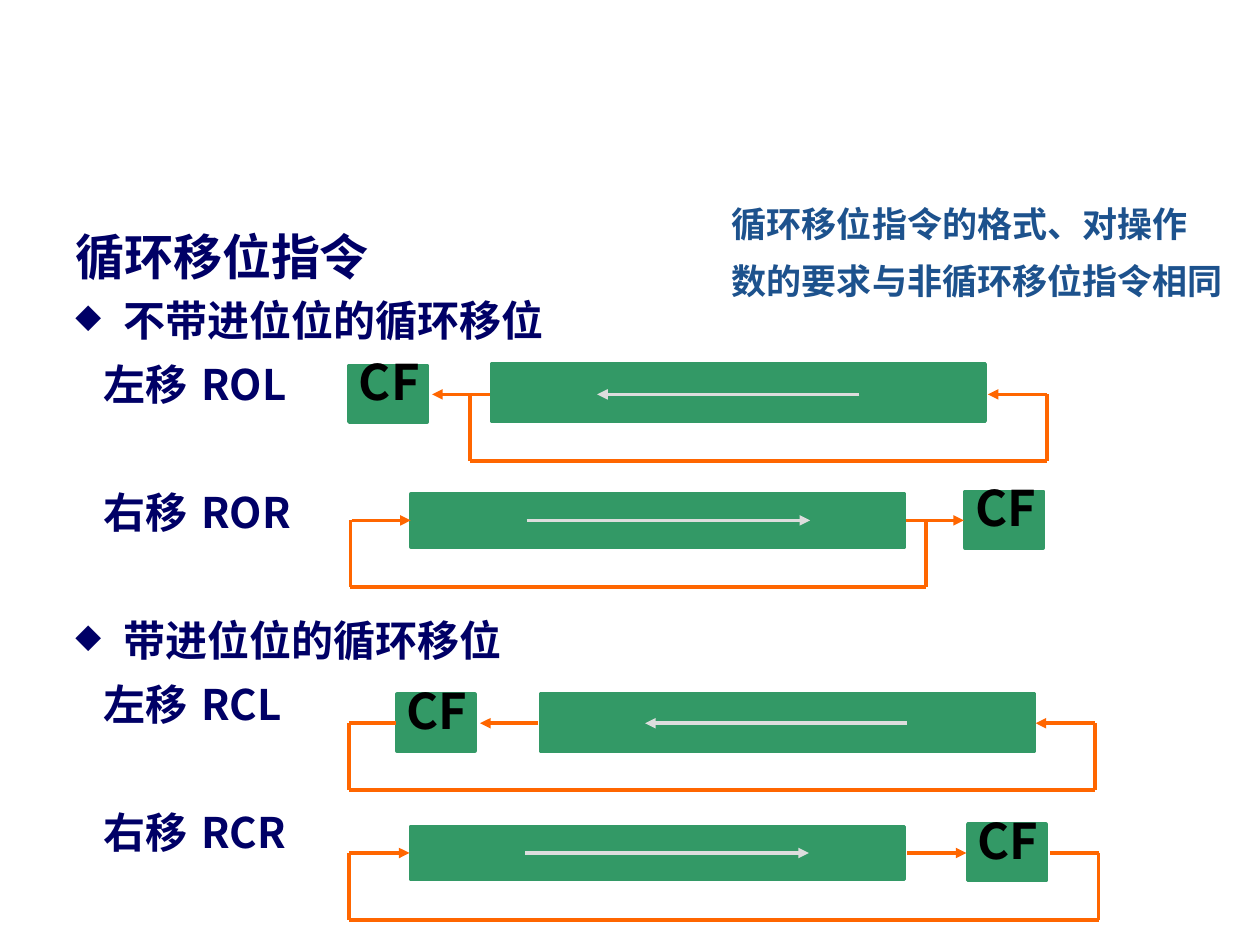
from pptx import Presentation
from pptx.dml.color import RGBColor
from pptx.enum.shapes import MSO_CONNECTOR as CONN, MSO_SHAPE as SHAPE
from pptx.oxml.ns import qn
from pptx.util import Inches, Pt
from lxml import etree

FONT = "Noto Sans CJK SC"
COLORS = {"navy": "000066", "blue": "1D528D", "green": "339966",
          "orange": "FF6600", "gray": "DDDDDD", "black": "000000"}
C = {name: RGBColor.from_string(h) for name, h in COLORS.items()}

prs = Presentation()
prs.slide_width, prs.slide_height = Inches(10), Inches(7.5)
s = prs.slides.add_slide(prs.slide_layouts[6])


def add_run(p, text, size, color):
    r = p.add_run()
    r.text = text
    f = r.font
    f.size, f.bold, f.name = Pt(size), True, FONT
    f.color.rgb = C[color]
    etree.SubElement(r._r.get_or_add_rPr(), qn("a:ea"), typeface=FONT)


def add_line(x1, y1, x2, y2, color="orange", arrow=False):
    cn = s.shapes.add_connector(CONN.STRAIGHT, Inches(x1), Inches(y1),
                                Inches(x2), Inches(y2))
    cn.line.color.rgb = C[color]
    cn.line.width = Pt(2)
    if arrow:
        etree.SubElement(cn.line._get_or_add_ln(), qn("a:tailEnd"), type="triangle")
    etree.SubElement(cn._element.spPr, qn("a:effectLst"))


# Outline: kind, text, space before (a wide gap leaves room for a diagram)
GAP, WIDE = 2.6, 39.2
outline = [
    ("title", "循环移位指令", 0),
    ("bullet", "不带进位位的循环移位", 0),
    ("label", "左移\tROL", GAP),
    ("label", "右移\tROR", WIDE),
    ("bullet", "带进位位的循环移位", WIDE),
    ("label", "左移\tRCL", GAP),
    ("label", "右移\tRCR", WIDE),
]
tf = s.shapes.add_textbox(Inches(0.5), Inches(1.66), Inches(5), Inches(5.25)).text_frame
tf.word_wrap = True
for i, (kind, text, before) in enumerate(outline):
    p = tf.add_paragraph() if i else tf.paragraphs[0]
    p.line_spacing = Pt(40 if kind == "title" else 34)
    if before:
        p.space_before = Pt(before)
    pPr = p._p.get_or_add_pPr()
    if kind == "bullet":
        pPr.set("marL", str(Inches(0.38)))
        pPr.set("indent", str(Inches(-0.38)))
        clr = etree.SubElement(pPr, qn("a:buClr"))
        etree.SubElement(clr, qn("a:srgbClr"), val=COLORS["navy"])
        etree.SubElement(pPr, qn("a:buSzPct"), val="80000")
        etree.SubElement(pPr, qn("a:buChar"), char="◆")
    elif kind == "label":
        pPr.set("marL", "0")
        pPr.set("indent", str(Inches(0.22)))
        tabs = etree.SubElement(pPr, qn("a:tabLst"))
        etree.SubElement(tabs, qn("a:tab"), pos=str(Inches(1.11)), algn="l")
    add_run(p, text, 28 if kind == "title" else 24, "navy")

# Remark at top right
tf = s.shapes.add_textbox(Inches(5.71), Inches(1.44), Inches(4.29), Inches(1.34)).text_frame
tf.word_wrap = True
for i, text in enumerate(["循环移位指令的格式、对操作", "数的要求与非循环移位指令相同"]):
    p = tf.add_paragraph() if i else tf.paragraphs[0]
    p.line_spacing = Pt(32.6)
    add_run(p, text, 20, "blue")

# Diagrams: axis y, register (x, top, height), CF x, shift arrow,
# arrow into CF, arrow into register, loop sides, plain link from CF
diagrams = [
    (3.13, (3.9, 2.89, 0.45), 2.77, (6.82, 4.74), (3.89, 3.43), (8.31, 7.84), (3.73, 8.31), None),
    (4.13, (3.26, 3.92, 0.42), 7.66, (4.18, 6.43), (7.19, 7.65), (2.79, 3.26), (2.78, 7.35), None),
    (5.74, (4.29, 5.51, 0.45), 3.15, (7.2, 5.12), (4.27, 3.81), (8.69, 8.22), (2.77, 8.69), (2.77, 3.14)),
    (6.77, (3.26, 6.56, 0.42), 7.68, (4.17, 6.42), (7.2, 7.67), (2.77, 3.25), (2.77, 8.72), (8.72, 8.33)),
]
for y, (bar_x, bar_y, bar_h), cf_x, shift, to_cf, to_bar, sides, link in diagrams:
    cf_y = y - 0.23
    for x, top, w, h in [(bar_x, bar_y, 3.92, bar_h), (cf_x, cf_y, 0.62, 0.45)]:
        sp = s.shapes.add_shape(SHAPE.RECTANGLE, Inches(x), Inches(top), Inches(w), Inches(h))
        sp.shadow.inherit = False
        sp.fill.solid()
        sp.fill.fore_color.rgb = sp.line.color.rgb = C["green"]
        sp.line.width = Pt(2)

    # CF label
    tf = s.shapes.add_textbox(Inches(cf_x - 0.02), Inches(cf_y - 0.11),
                              Inches(0.75), Inches(0.57)).text_frame
    tf.word_wrap = True
    tf.margin_top = tf.margin_bottom = 0
    add_run(tf.paragraphs[0], "CF", 28, "black")

    # Shift direction, data flow and feedback loop
    add_line(shift[0], y, shift[1], y, "gray", True)
    for start, end in (to_cf, to_bar):
        add_line(start, y, end, y, arrow=True)
    if link:
        add_line(link[0], y, link[1], y)
    bottom = y + 0.53
    for x in sides:
        add_line(x, y, x, bottom)
    add_line(sides[0], bottom, sides[1], bottom)

prs.save("out.pptx")
